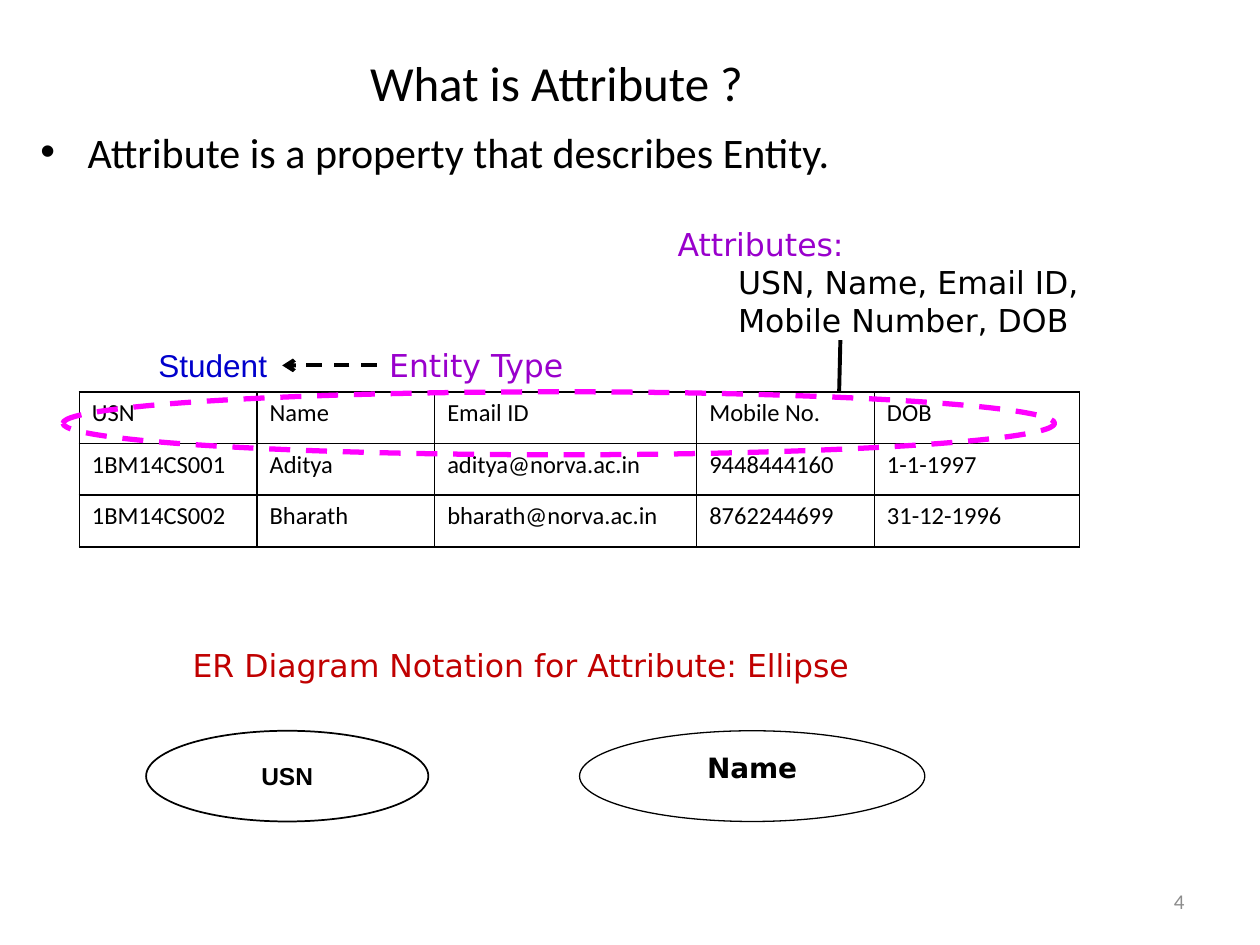
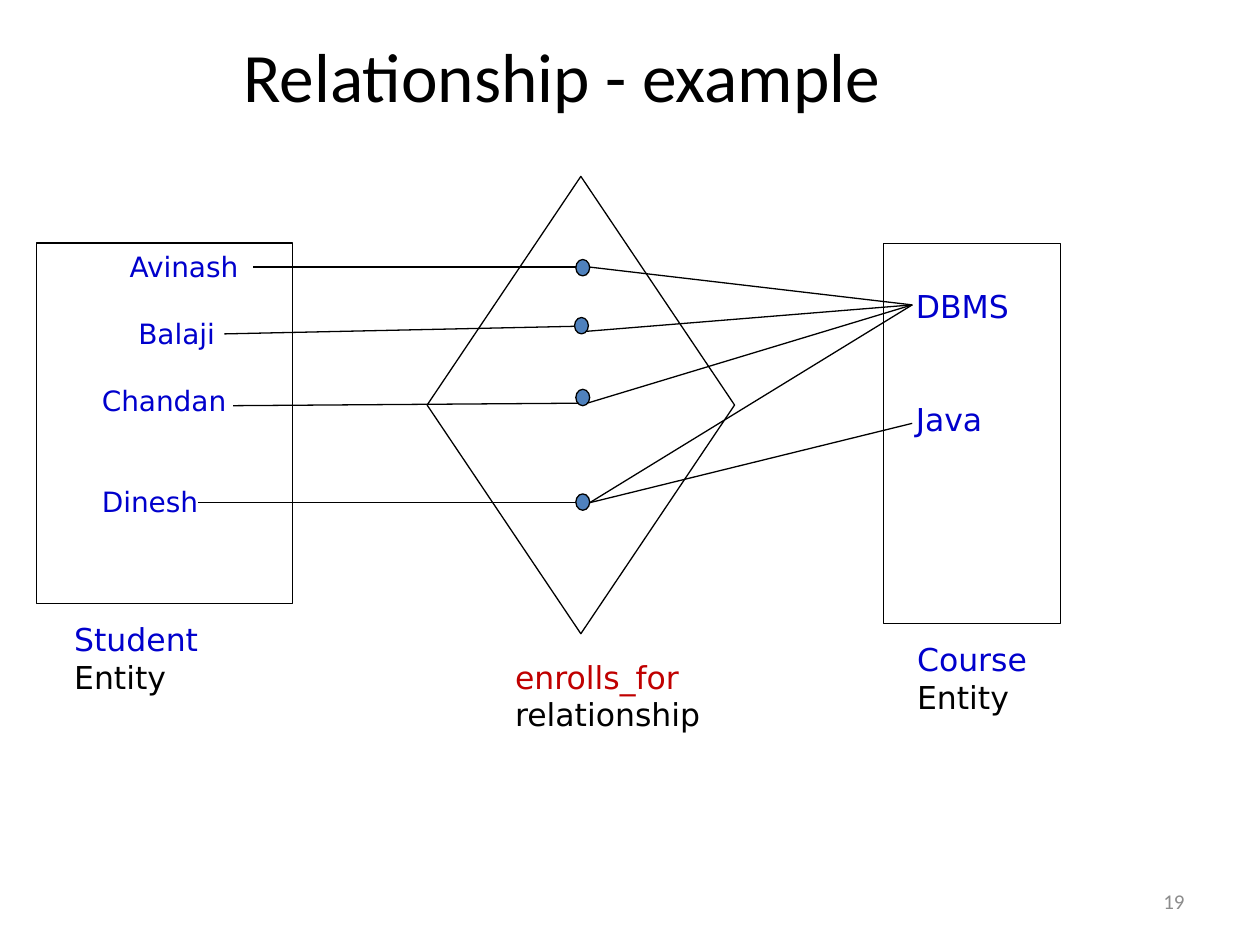
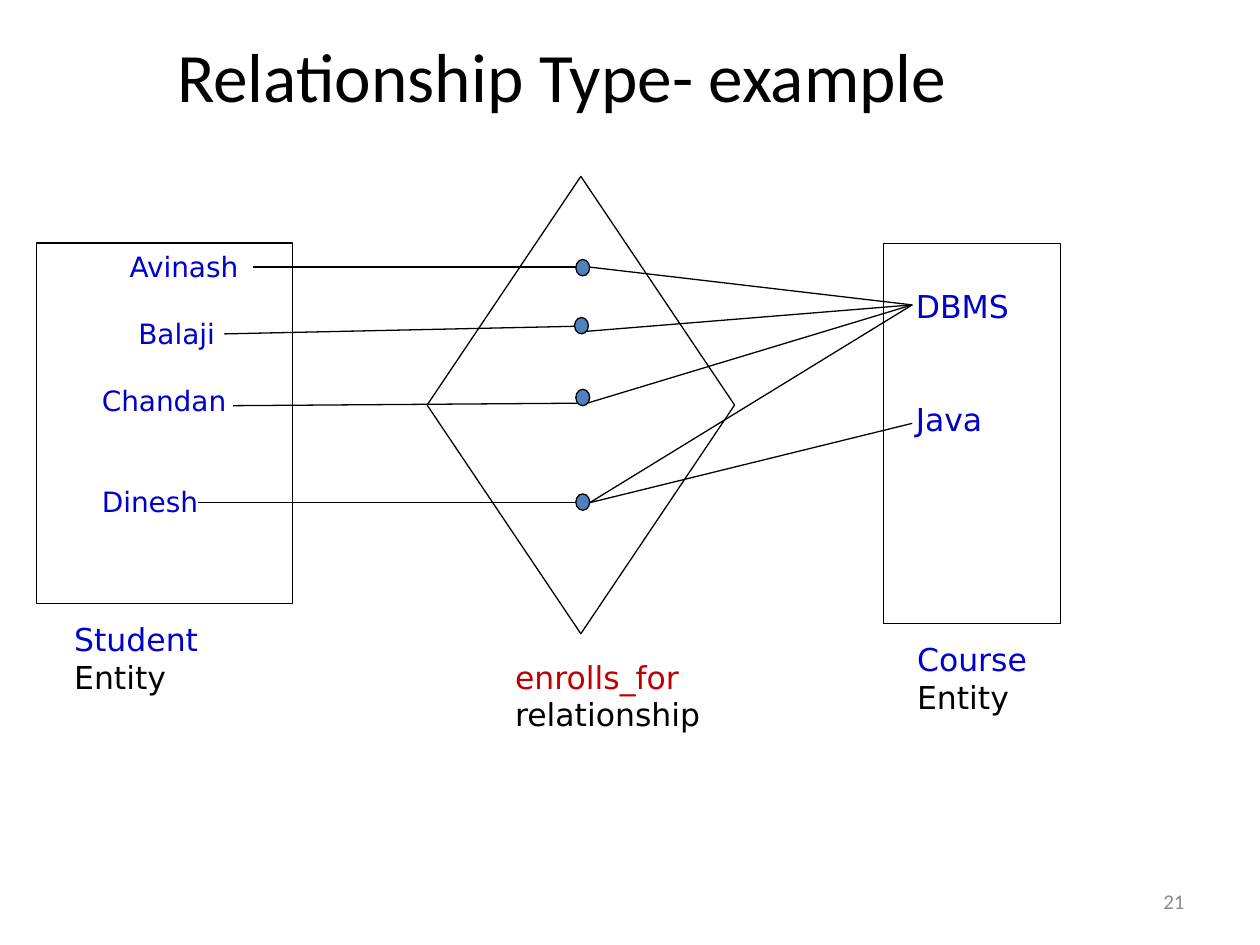
from dataclasses import dataclass
from typing import Optional

from lxml.etree import SubElement
from pptx import Presentation
from pptx.dml.color import RGBColor
from pptx.enum.dml import MSO_LINE
from pptx.enum.shapes import MSO_CONNECTOR, MSO_SHAPE
from pptx.enum.text import MSO_ANCHOR, MSO_AUTO_SIZE, PP_ALIGN
from pptx.oxml.ns import qn
from pptx.presentation import Presentation as PresentationType
from pptx.shapes.autoshape import Shape
from pptx.slide import Slide
from pptx.text.text import TextFrame
from pptx.util import Inches, Pt

Point = tuple[float, float]
Box = tuple[float, float, float, float]


@dataclass(frozen=True)
class TextStyle:
    size: float
    color: str
    font: str = "DejaVu Sans"
    bold: bool = False


@dataclass(frozen=True)
class Theme:
    black: str = "000000"
    white: str = "FFFFFF"
    highlight: str = "FF00FF"
    dot: str = "4F81BD"
    thin: float = 0.75
    medium: float = 1
    thick: float = 2.25
    heavy: float = 3
    title: TextStyle = TextStyle(28, "000000", "Calibri")
    large_title: TextStyle = TextStyle(39.6, "000000", "Calibri")
    body: TextStyle = TextStyle(24, "000000", "Calibri")
    cell: TextStyle = TextStyle(14, "000000", "Calibri")
    number: TextStyle = TextStyle(12, "8C8C8C", "Calibri")
    label: TextStyle = TextStyle(18, "000000")
    entity: TextStyle = TextStyle(18, "0000CC")
    entity_arial: TextStyle = TextStyle(18, "0000CC", "Arial")
    member: TextStyle = TextStyle(16, "0000CC")
    accent: TextStyle = TextStyle(18, "9900CC")
    notation: TextStyle = TextStyle(18, "C00000")
    usn: TextStyle = TextStyle(14, "000000", "Arial", True)
    name: TextStyle = TextStyle(16, "000000", bold=True)


THEME = Theme()


@dataclass(frozen=True)
class Line:
    text: str
    style: TextStyle
    indent: float = 0
    space_before: float = 0


@dataclass(frozen=True)
class Label:
    box: Box
    lines: tuple[Line, ...]


@dataclass(frozen=True)
class Outline:
    kind: MSO_SHAPE
    box: Box
    width: float = THEME.thin
    color: str = THEME.black
    dashed: bool = False
    fill: Optional[str] = None


@dataclass(frozen=True)
class Link:
    start: Point
    end: Point
    width: float = THEME.thin
    dashed: bool = False
    arrow: bool = False


ATTRIBUTE_LABELS = (
    Label((1.16, 2.7, 1.07, 0.4), (Line("Student", THEME.entity_arial),)),
    Label((2.99, 2.7, 1.62, 0.4), (Line("Entity Type", THEME.accent),)),
    Label(
        (5.28, 1.74, 3.64, 1.01),
        (
            Line("Attributes:", THEME.accent),
            Line("USN, Name, Email ID,", THEME.label, 0.48),
            Line("Mobile Number, DOB", THEME.label, 0.48),
        ),
    ),
    Label(
        (1.43, 5.08, 5.61, 0.4),
        (Line("ER Diagram Notation for Attribute: Ellipse", THEME.notation),),
    ),
)
ATTRIBUTE_LINKS = (
    Link((2.99, 2.9), (2.24, 2.9), THEME.thick, dashed=True, arrow=True),
    Link((6.67, 2.7), (6.66, 3.11), THEME.thick),
)
STUDENT_COLUMNS = (1.41, 1.41, 2.08, 1.41, 1.63)
STUDENT_ROW_HEIGHT = 0.41
STUDENT_ROWS = (
    ("USN", "Name", "Email ID", "Mobile No.", "DOB"),
    ("1BM14CS001", "Aditya", "aditya@norva.ac.in", "9448444160", "1-1-1997"),
    ("1BM14CS002", "Bharath", "bharath@norva.ac.in", "8762244699", "31-12-1996"),
)

STUDENT_MEMBERS = (
    Line("Avinash", THEME.member, 0.64),
    Line("Balaji", THEME.member, 0.71, 19),
    Line("Chandan", THEME.member, 0.42, 19.5),
    Line("Dinesh", THEME.member, 0.42, 38.5),
)
COURSE_MEMBERS = (
    Line("DBMS", THEME.entity, 0.16),
    Line("Java", THEME.entity, 0.16, 42.75),
)
RELATIONSHIP_LABELS = (
    Label(
        (3.99, 5.17, 1.67, 0.71),
        (Line("enrolls_for", THEME.notation), Line("relationship", THEME.label)),
    ),
    Label(
        (0.49, 4.87, 1.19, 0.71),
        (Line("Student", THEME.entity), Line("Entity", THEME.label)),
    ),
    Label(
        (7.18, 5.03, 1.07, 0.71),
        (Line("Course", THEME.entity), Line("Entity", THEME.label)),
    ),
)
DOTS = ((4.57, 2.06), (4.56, 2.52), (4.57, 3.09), (4.57, 3.92))
DBMS_POINT = (7.24, 2.42)
JAVA_POINT = (7.24, 3.36)
RELATIONSHIP_LINKS = (
    Link((2.01, 2.12), (4.57, 2.12)),
    Link((4.68, 2.12), DBMS_POINT),
    Link((1.78, 2.65), (4.56, 2.59)),
    Link((4.65, 2.63), DBMS_POINT),
    Link((1.85, 3.22), (4.59, 3.2)),
    Link((4.66, 3.2), DBMS_POINT),
    Link((1.57, 3.99), (4.57, 3.99)),
    Link((4.68, 3.99), JAVA_POINT),
    Link((4.68, 3.99), DBMS_POINT),
)


def place(shape: Shape, box: Box) -> None:
    shape.left, shape.top, shape.width, shape.height = map(Inches, box)


def write(
    frame: TextFrame, lines: tuple[Line, ...], alignment: Optional[PP_ALIGN] = None
) -> None:
    for index, line in enumerate(lines):
        paragraph = frame.paragraphs[0] if index == 0 else frame.add_paragraph()
        paragraph.text = line.text
        paragraph.alignment = alignment
        font = paragraph.font
        font.name = line.style.font
        font.size = Pt(line.style.size)
        font.bold = line.style.bold
        font.color.rgb = RGBColor.from_string(line.style.color)
        if line.space_before:
            paragraph.space_before = Pt(line.space_before)
        if line.indent:
            paragraph._p.get_or_add_pPr().set("marL", str(Inches(line.indent)))


def add_label(slide: Slide, label: Label) -> None:
    frame = slide.shapes.add_textbox(*map(Inches, label.box)).text_frame
    frame.word_wrap = False
    frame.auto_size = MSO_AUTO_SIZE.SHAPE_TO_FIT_TEXT
    write(frame, label.lines, PP_ALIGN.LEFT)


def add_outline(slide: Slide, outline: Outline) -> Shape:
    shape = slide.shapes.add_shape(outline.kind, *map(Inches, outline.box))
    shape.shadow.inherit = False
    if outline.fill:
        shape.fill.solid()
        shape.fill.fore_color.rgb = RGBColor.from_string(outline.fill)
    else:
        shape.fill.background()
    shape.line.color.rgb = RGBColor.from_string(outline.color)
    shape.line.width = Pt(outline.width)
    if outline.dashed:
        shape.line.dash_style = MSO_LINE.DASH
    return shape


def add_link(slide: Slide, link: Link) -> None:
    connector = slide.shapes.add_connector(
        MSO_CONNECTOR.STRAIGHT, *map(Inches, link.start + link.end)
    )
    connector.line.color.rgb = RGBColor.from_string(THEME.black)
    connector.line.width = Pt(link.width)
    if link.dashed:
        connector.line.dash_style = MSO_LINE.DASH
    if link.arrow:
        SubElement(connector.line._get_or_add_ln(), qn("a:tailEnd"), type="arrow")
    SubElement(connector._element.spPr, qn("a:effectLst"))


def add_members(slide: Slide, box: Box, lines: tuple[Line, ...], top: float) -> None:
    frame = add_outline(slide, Outline(MSO_SHAPE.RECTANGLE, box)).text_frame
    frame.vertical_anchor = MSO_ANCHOR.TOP
    frame.margin_top = Inches(top)
    write(frame, lines, PP_ALIGN.LEFT)


def add_student_table(slide: Slide) -> None:
    table = slide.shapes.add_table(
        len(STUDENT_ROWS),
        len(STUDENT_COLUMNS),
        Inches(0.63),
        Inches(3.11),
        Inches(sum(STUDENT_COLUMNS)),
        Inches(STUDENT_ROW_HEIGHT * len(STUDENT_ROWS)),
    ).table
    table.first_row = False
    table.horz_banding = False
    for column, width in zip(table.columns, STUDENT_COLUMNS):
        column.width = Inches(width)
    for row, values in zip(table.rows, STUDENT_ROWS):
        row.height = Inches(STUDENT_ROW_HEIGHT)
        for cell, value in zip(row.cells, values):
            write(cell.text_frame, (Line(value, THEME.cell),))
            properties = cell._tc.get_or_add_tcPr()
            for side in ("a:lnL", "a:lnR", "a:lnT", "a:lnB"):
                border = SubElement(properties, qn(side), w=str(Pt(THEME.medium)))
                border_fill = SubElement(border, qn("a:solidFill"))
                SubElement(border_fill, qn("a:srgbClr"), val=THEME.black)
            cell.fill.solid()
            cell.fill.fore_color.rgb = RGBColor.from_string(THEME.white)


def add_slide(
    presentation: PresentationType,
    layout: int,
    title: str,
    style: TextStyle,
    title_height: float,
    number: int,
) -> Slide:
    slide = presentation.slides.add_slide(presentation.slide_layouts[layout])
    place(slide.shapes.title, (0.5, 0.35, 7.92, title_height))
    frame = slide.shapes.title.text_frame
    frame.auto_size = MSO_AUTO_SIZE.NONE
    frame.vertical_anchor = MSO_ANCHOR.MIDDLE
    write(frame, (Line(title, style),), PP_ALIGN.CENTER)

    number_box = slide.shapes.add_textbox(*map(Inches, (7.17, 6.95, 2.33, 0.4)))
    number_box.text_frame.word_wrap = True
    number_box.text_frame.vertical_anchor = MSO_ANCHOR.MIDDLE
    write(
        number_box.text_frame, (Line(str(number), THEME.number),), PP_ALIGN.RIGHT
    )
    return slide


def build_attribute_slide(presentation: PresentationType) -> None:
    slide = add_slide(presentation, 1, "What is Attribute ? ", THEME.title, 0.6, 4)
    body = slide.placeholders[1]
    place(body, (0.22, 0.95, 8.35, 6.26))
    body.text_frame.auto_size = MSO_AUTO_SIZE.NONE
    write(
        body.text_frame,
        (Line("Attribute is a property that describes Entity.", THEME.body),),
    )
    add_student_table(slide)
    add_outline(
        slide,
        Outline(
            MSO_SHAPE.OVAL, (0.5, 3.11, 7.87, 0.5), THEME.heavy, THEME.highlight, True
        ),
    )
    for label in ATTRIBUTE_LABELS:
        add_label(slide, label)
    for link in ATTRIBUTE_LINKS:
        add_link(slide, link)

    name = add_outline(slide, Outline(MSO_SHAPE.OVAL, (4.6, 5.8, 2.74, 0.72)))
    name.text_frame.vertical_anchor = MSO_ANCHOR.TOP
    write(name.text_frame, (Line("Name", THEME.name),), PP_ALIGN.CENTER)
    usn = add_outline(
        slide, Outline(MSO_SHAPE.OVAL, (1.16, 5.8, 2.24, 0.72), THEME.medium)
    )
    usn.text_frame.word_wrap = False
    write(usn.text_frame, (Line("USN", THEME.usn),), PP_ALIGN.CENTER)


def build_relationship_slide(
    presentation: PresentationType, title: str, number: int
) -> None:
    slide = add_slide(presentation, 5, title, THEME.large_title, 0.48, number)
    add_members(slide, (0.29, 1.93, 2.03, 2.86), STUDENT_MEMBERS, 0.05)
    add_outline(slide, Outline(MSO_SHAPE.DIAMOND, (3.39, 1.4, 2.44, 3.63)))
    add_members(slide, (7.01, 1.93, 1.41, 3.02), COURSE_MEMBERS, 0.35)
    for label in RELATIONSHIP_LABELS:
        add_label(slide, label)
    for left, top in DOTS:
        add_outline(
            slide, Outline(MSO_SHAPE.OVAL, (left, top, 0.11, 0.13), fill=THEME.dot)
        )
    for link in RELATIONSHIP_LINKS:
        add_link(slide, link)


def main() -> None:
    presentation = Presentation()
    presentation.slide_width = Inches(10)
    presentation.slide_height = Inches(7.5)
    build_attribute_slide(presentation)
    build_relationship_slide(presentation, "Relationship - example", 19)
    build_relationship_slide(presentation, "Relationship Type- example", 21)
    presentation.save("out.pptx")


if __name__ == "__main__":
    main()
